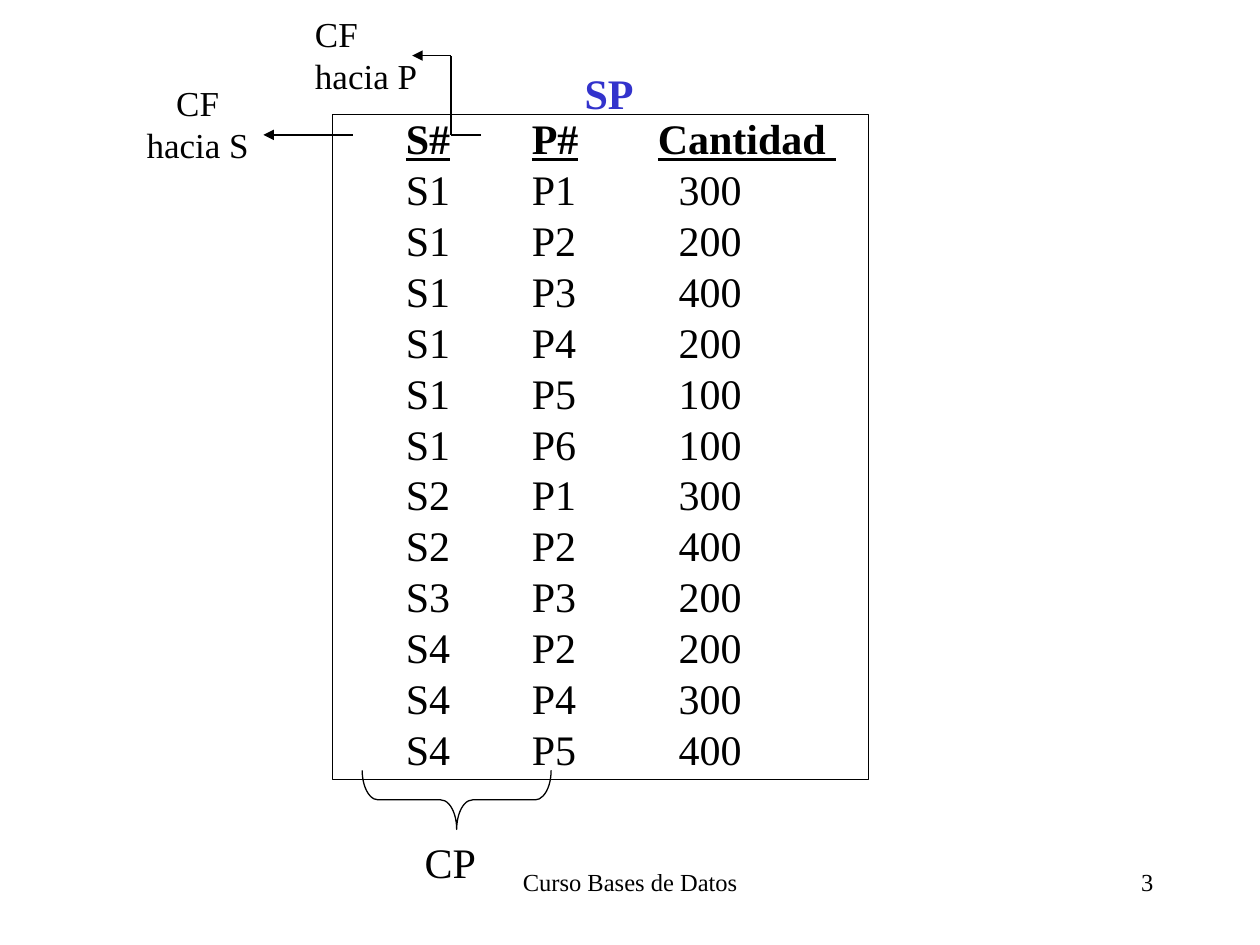
"""Build the SP relation slide with its primary and foreign keys marked."""
from dataclasses import dataclass

from lxml import etree
from pptx import Presentation
from pptx import util as u
from pptx.dml.color import RGBColor
from pptx.enum import shapes, text
from pptx.oxml import ns

BLACK = RGBColor(0x00, 0x00, 0x00)
BLUE = RGBColor(0x33, 0x33, 0xCC)
FONT = "Times New Roman"
NO_STYLE = "{2D5ABB26-0587-4C30-8999-92F81FD0307C}"
LEFT, CENTER, RIGHT = text.PP_ALIGN.LEFT, text.PP_ALIGN.CENTER, text.PP_ALIGN.RIGHT


@dataclass(frozen=True)
class Label:
    lines: tuple[str, ...]
    x: float
    y: float
    w: float
    h: float
    size: int
    align: text.PP_ALIGN = LEFT
    color: RGBColor = BLACK
    bold: bool = False
    wrap: bool = True


@dataclass(frozen=True)
class Line:
    x1: float
    y1: float
    x2: float
    y2: float
    arrow: bool = False


LABELS = (
    Label(("Curso Bases de Datos",), 8.68, 17.35, 8.05, 1.27, 14, CENTER),
    Label(("3",), 18.2, 17.35, 5.3, 1.27, 14, RIGHT),
    Label(("SP",), 11.28, 1.23, 2, 1.2, 24, CENTER, BLUE, True),
    Label(("CP",), 8.31, 16.74, 1.55, 1.27, 24, wrap=False),
    Label(("CF", "hacia S"), 2.7, 1.52, 2.57, 1.96, 20, CENTER, wrap=False),
    Label(("CF", "hacia P"), 6.1, 0.13, 2.57, 1.96, 20, wrap=False),
)
LINES = (
    Line(7.11, 2.72, 5.31, 2.72, True),
    Line(9.09, 1.12, 8.31, 1.12, True),
    Line(9.7, 2.72, 9.09, 2.72),
    Line(9.09, 2.72, 9.09, 1.12),
)
HEADER = ("S#", "P#", "Cantidad ")
SHIPMENTS = (
    ("S1", "P1", "300"), ("S1", "P2", "200"), ("S1", "P3", "400"),
    ("S1", "P4", "200"), ("S1", "P5", "100"), ("S1", "P6", "100"),
    ("S2", "P1", "300"), ("S2", "P2", "400"), ("S3", "P3", "200"),
    ("S4", "P2", "200"), ("S4", "P4", "300"), ("S4", "P5", "400"),
)
COL_WIDTHS = (2.54, 2.54, 4.24)
TABLE_X, TABLE_Y, TABLE_H = 8.18, 2.32, 13.34


def set_attrs(target: object, **values: object) -> None:
    """Set each named attribute on the target."""
    for name, value in values.items():
        setattr(target, name, value)


def add_run(p, content: str, size: int, color: RGBColor = BLACK, **extra: object) -> None:
    """Append a formatted run to a paragraph."""
    r = p.add_run()
    r.text = content
    set_attrs(r.font, name=FONT, size=u.Pt(size), **extra)
    r.font.color.rgb = color


def add_label(s, label: Label) -> None:
    """Draw a text box with one paragraph per line."""
    box = map(u.Cm, (label.x, label.y, label.w, label.h))
    tf = s.shapes.add_textbox(*box).text_frame
    tf.word_wrap = label.wrap
    for i, content in enumerate(label.lines):
        p = tf.add_paragraph() if i else tf.paragraphs[0]
        p.alignment = label.align
        add_run(p, content, label.size, label.color, bold=label.bold)


def add_line(s, line: Line) -> None:
    """Draw a thin straight line, with an arrowhead if asked."""
    ends = map(u.Cm, (line.x1, line.y1, line.x2, line.y2))
    sp = s.shapes.add_connector(shapes.MSO_CONNECTOR.STRAIGHT, *ends)
    sp.line.width = u.Pt(0.75)
    sp.line.color.rgb = BLACK
    if line.arrow:
        etree.SubElement(sp.line._get_or_add_ln(), ns.qn("a:tailEnd"), type="triangle")
    etree.SubElement(sp._element.spPr, ns.qn("a:effectLst"))


def add_outline(s, kind: shapes.MSO_SHAPE, x: float, y: float, w: float, h: float):
    """Draw an unfilled shape with a thin black line."""
    sp = s.shapes.add_shape(kind, *map(u.Cm, (x, y, w, h)))
    sp.shadow.inherit = False
    sp.fill.background()
    sp.line.width = u.Pt(0.75)
    sp.line.color.rgb = BLACK
    return sp


def add_relation(s) -> None:
    """Draw the relation as a plain table under an underlined header."""
    rows = (HEADER, *SHIPMENTS)
    box = map(u.Cm, (TABLE_X, TABLE_Y, sum(COL_WIDTHS), TABLE_H))
    frame = s.shapes.add_table(len(rows), len(HEADER), *box)
    table = frame.table
    set_attrs(table, first_row=False, horz_banding=False)
    table._tbl.tblPr.find(ns.qn("a:tableStyleId")).text = NO_STYLE
    for column, width in zip(table.columns, COL_WIDTHS):
        column.width = u.Cm(width)
    for i, values in enumerate(rows):
        table.rows[i].height = u.Cm(TABLE_H / len(rows))
        header = i == 0
        for j, value in enumerate(values):
            cell = table.cell(i, j)
            indent = u.Cm(0.42) if j == 2 and not header else 0
            set_attrs(cell, margin_left=indent, margin_right=0, margin_top=0,
                      margin_bottom=0, vertical_anchor=text.MSO_ANCHOR.MIDDLE)
            cell.fill.background()
            add_run(cell.text_frame.paragraphs[0], value, 24, bold=header, underline=header)


def main() -> None:
    """Assemble and save the slide."""
    prs = Presentation()
    set_attrs(prs, slide_width=u.Cm(25.4), slide_height=u.Cm(19.05))
    s = prs.slides.add_slide(prs.slide_layouts[6])
    add_relation(s)
    add_outline(s, shapes.MSO_SHAPE.RECTANGLE, 6.71, 2.31, 10.8, 13.41)
    brace = add_outline(s, shapes.MSO_SHAPE.RIGHT_BRACE, 8.61, 14.22, 1.19, 3.81)
    brace.rotation = 90
    brace.adjustments[0] = 0.27
    for label in LABELS:
        add_label(s, label)
    for line in LINES:
        add_line(s, line)
    prs.save("out.pptx")


if __name__ == "__main__":
    main()
